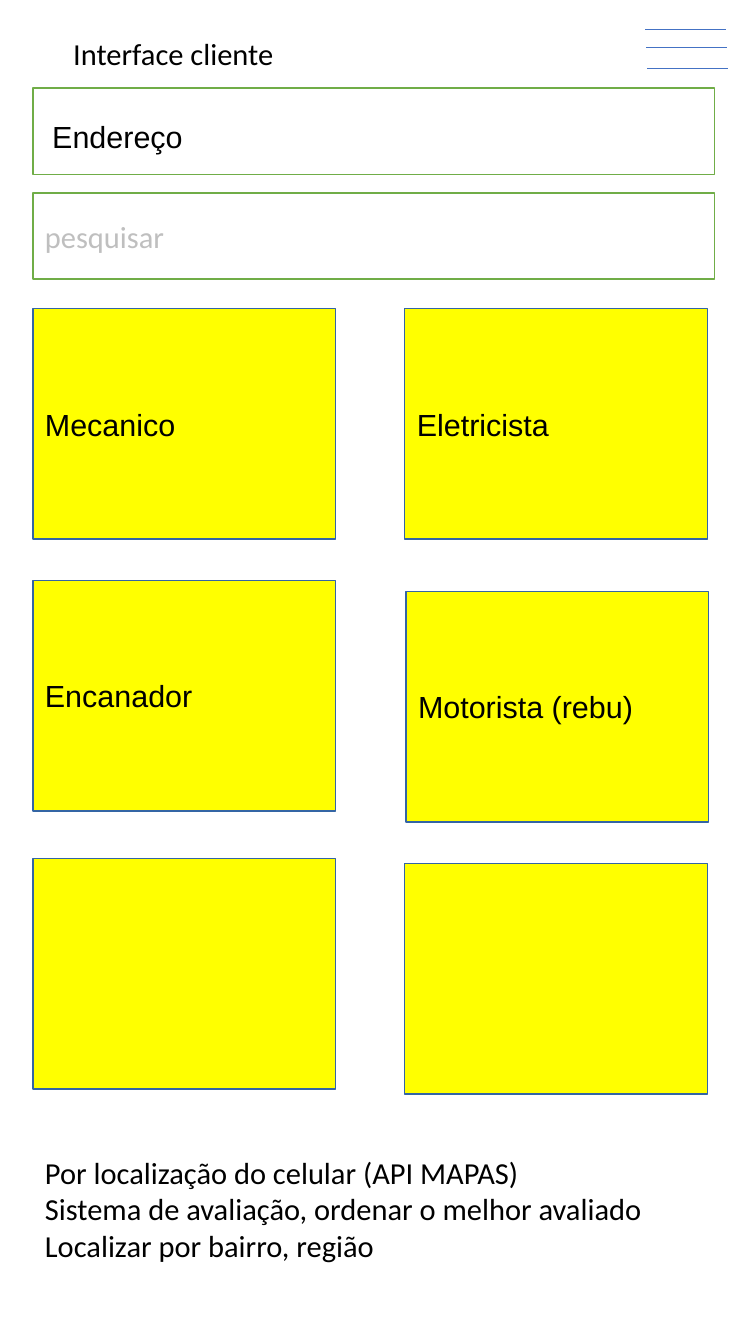
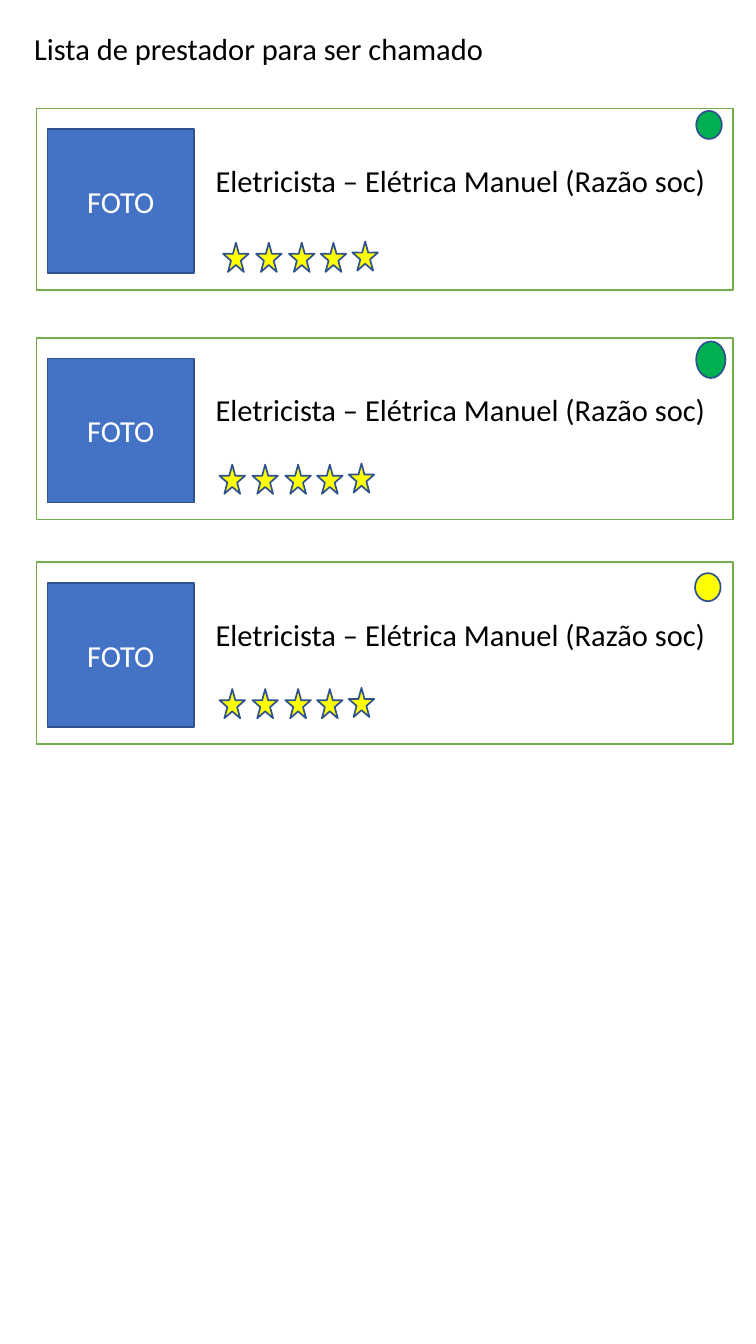
from pptx import Presentation
from pptx.dml.color import RGBColor
from pptx.enum.shapes import MSO_CONNECTOR, MSO_SHAPE
from pptx.enum.text import MSO_ANCHOR, PP_ALIGN
from pptx.oxml.ns import qn
from pptx.util import Inches, Pt
from lxml.etree import SubElement

BLACK = RGBColor(0x00, 0x00, 0x00)
WHITE = RGBColor(0xFF, 0xFF, 0xFF)
GRAY = RGBColor(0xBF, 0xBF, 0xBF)
BLUE = RGBColor(0x44, 0x72, 0xC4)
NAVY = RGBColor(0x2F, 0x52, 0x8F)
STEEL = RGBColor(0x34, 0x65, 0xA4)
LIME = RGBColor(0x70, 0xAD, 0x47)
GREEN = RGBColor(0x00, 0xB0, 0x50)
YELLOW = RGBColor(0xFF, 0xFF, 0x00)


class Deck:
    """Holds the shared style and the slide being built."""

    font = "Calibri"
    alt_font = "Arial"
    size = Pt(18)

    def __init__(self, width, height):
        self.prs = Presentation()
        self.prs.slide_width = Inches(width)
        self.prs.slide_height = Inches(height)
        self.s = None

    def slide(self, title, x, y, w, h):
        self.s = self.prs.slides.add_slide(self.prs.slide_layouts[5])
        sp = self.s.shapes.title
        sp.left, sp.top, sp.width, sp.height = map(Inches, (x, y, w, h))
        self.add_lines(sp, [title])

    def add_lines(self, sp, lines, color=BLACK, font=None,
                  align=PP_ALIGN.LEFT, anchor=MSO_ANCHOR.TOP):
        tf = sp.text_frame
        tf.word_wrap = True
        tf.vertical_anchor = anchor
        for i, line in enumerate(lines):
            p = tf.add_paragraph() if i else tf.paragraphs[0]
            p.alignment = align
            r = p.add_run()
            r.text = line
            r.font.name = font or self.font
            r.font.size = self.size
            r.font.color.rgb = color

    def text(self, x, y, w, h, lines, **style):
        sp = self.s.shapes.add_textbox(*map(Inches, (x, y, w, h)))
        self.add_lines(sp, lines, **style)

    def shape(self, x, y, w, h, fill, line, weight=1, kind=MSO_SHAPE.RECTANGLE,
              label=None, **style):
        sp = self.s.shapes.add_shape(kind, *map(Inches, (x, y, w, h)))
        sp.shadow.inherit = False
        sp.fill.solid()
        sp.fill.fore_color.rgb = fill
        sp.line.color.rgb = line
        sp.line.width = Pt(weight)
        if label:
            self.add_lines(sp, [label], anchor=MSO_ANCHOR.MIDDLE, **style)

    def field(self, y, label=None):
        self.shape(0.27, y, 5.59, 0.71, WHITE, LIME, label=label, color=GRAY)

    def tile(self, x, y, label):
        self.shape(x, y, 2.48, 1.89, YELLOW, STEEL, 0, label=label,
                   font=self.alt_font)

    def rule(self, x, y, length):
        cx = self.s.shapes.add_connector(
            MSO_CONNECTOR.STRAIGHT, *map(Inches, (x, y, x + length, y)))
        cx.line.color.rgb = BLUE
        cx.line.width = Pt(0.5)
        SubElement(cx._element.spPr, qn("a:effectLst"))

    def stars(self, x, y):
        for dx, dy in ((0, 0), (0.27, 0), (0.54, 0), (0.8, 0), (1.06, -0.01)):
            self.shape(x + dx, y + dy, 0.21, 0.24, YELLOW, NAVY,
                       kind=MSO_SHAPE.STAR_5_POINT)

    def card(self, y, stars, status, color):
        self.shape(0.3, y, 5.71, 1.49, WHITE, LIME)
        self.text(1.67, y + 0.39, 4.26, 1,
                  ["Eletricista – Elétrica Manuel (Razão soc)"])
        self.shape(0.39, y + 0.17, 1.2, 1.18, BLUE, NAVY, label="FOTO",
                   color=WHITE, align=PP_ALIGN.CENTER)
        self.stars(*stars)
        self.shape(*status, color, NAVY, kind=MSO_SHAPE.OVAL)


def client_slide(deck):
    deck.slide("Interface cliente", 0.5, 0.24, 3.9, 0.4)
    deck.field(0.72)
    deck.text(0.33, 0.92, 1.95, 0.39, ["Endereço"], font=deck.alt_font)
    deck.field(1.58, "pesquisar")
    for x, y, label in (
        (0.27, 2.53, "Mecanico"),
        (3.32, 2.53, "Eletricista"),
        (0.27, 4.76, "Encanador"),
        (3.33, 4.85, "Motorista (rebu)"),
        (0.27, 7.04, None),
        (3.32, 7.08, None),
    ):
        deck.tile(x, y, label)
    deck.text(0.27, 9.41, 5.49, 1.01, [
        "Por localização do celular (API MAPAS)",
        "Sistema de avaliação, ordenar o melhor avaliado",
        "Localizar por bairro, região",
    ])
    for x, y in ((5.29, 0.24), (5.3, 0.39), (5.31, 0.56)):
        deck.rule(x, y, 0.66)


def provider_slide(deck):
    deck.slide("Lista de prestador para ser chamado", 0.18, 0.2, 5.83, 0.4)
    for y, stars, status, color in (
        (0.89, (1.83, 1.99), (5.71, 0.91, 0.21, 0.23), GREEN),
        (2.77, (1.8, 3.81), (5.71, 2.8, 0.24, 0.3), GREEN),
        (4.61, (1.8, 5.65), (5.7, 4.7, 0.21, 0.23), YELLOW),
    ):
        deck.card(y, stars, status, color)


def main():
    deck = Deck(6.2, 11.02)
    client_slide(deck)
    provider_slide(deck)
    deck.prs.save("out.pptx")


if __name__ == "__main__":
    main()
